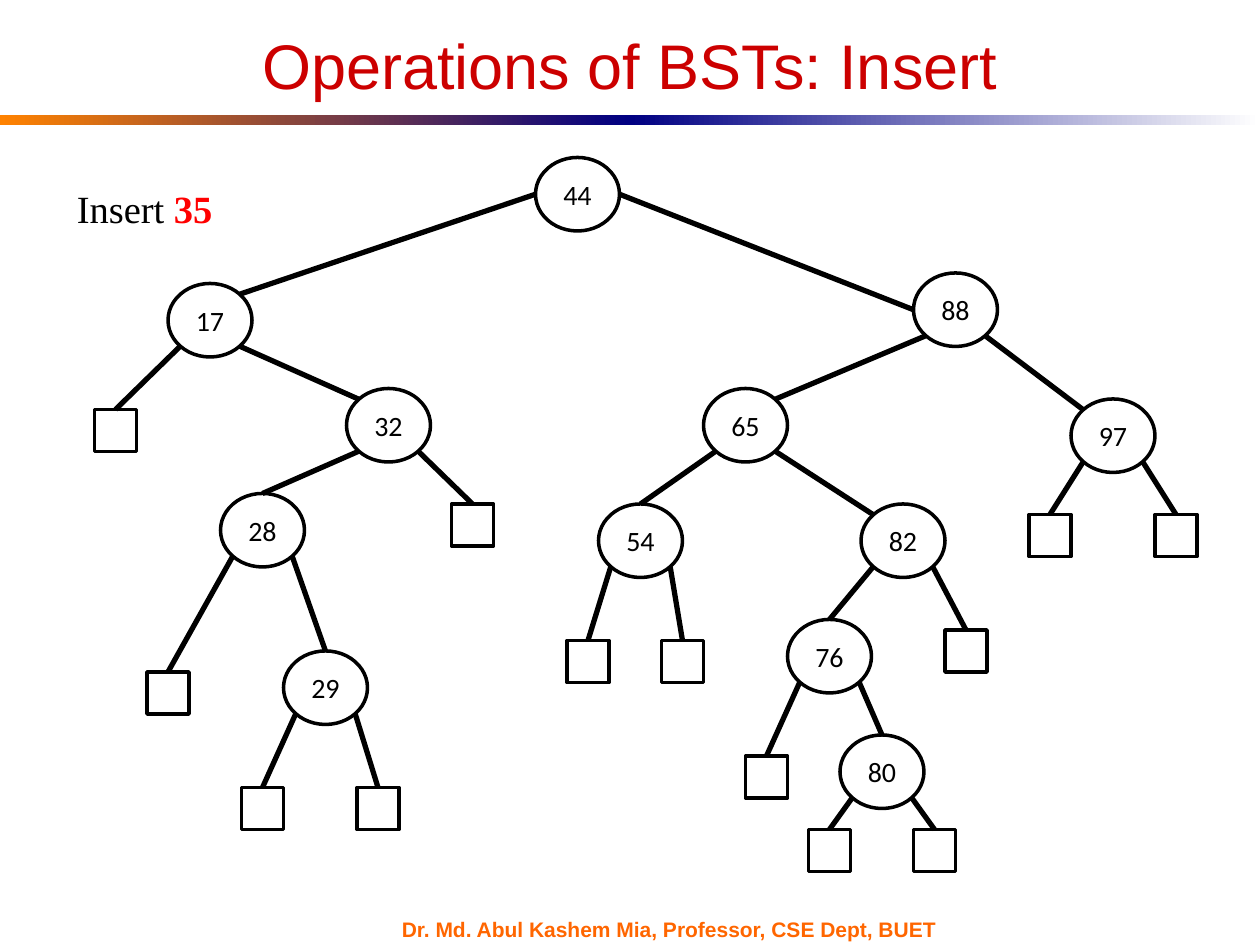
from pptx import Presentation
from pptx.dml.color import RGBColor
from pptx.enum import shapes, text
from pptx.oxml.ns import qn
from pptx.util import Cm, Pt

COLORS = {"black": "000000", "white": "FFFFFF", "title": "CC0000", "key": "FF0000",
          "orange": "FF8200", "navy": "000082", "footer": "FF6600"}
TITLE = "Operations of BSTs: Insert"
TASK = [("Insert ", "black", False), ("35", "key", True)]
FOOTER = [("Dr. Md. Abul Kashem Mia, Professor, CSE Dept, BUET", "footer", True)]
BARS = [("orange", "navy"), ("navy", "white")]

# Grid positions (column, row) of the top left corners
GRID = 2.54 / 12  # cm
NODE_SIZE, LEAF_SIZE = (8, 7), (4, 4)
NODES = {44: (51, 15), 17: (16, 27), 32: (33, 37), 28: (21, 47), 29: (27, 62),
         88: (87, 26), 65: (67, 37), 97: (102, 38), 54: (57, 48), 82: (82, 48),
         76: (75, 59), 80: (80, 70)}
# Parent, where the edge leaves it, child, where the edge meets it
EDGES = [(44, "left", 17, "top right"), (44, "right", 88, "left"),
         (17, "bottom right", 32, "top left"), (32, "bottom left", 28, "top"),
         (28, "bottom right", 29, "top"), (88, "bottom left", 65, "top right"),
         (88, "bottom right", 97, "top left"), (65, "bottom left", 54, "top"),
         (65, "bottom right", 82, "top left"), (82, "bottom left", 76, "top"),
         (76, "bottom right", 80, "top")]
# Parent, where the edge leaves it, position of the empty leaf
LEAVES = [(17, "bottom left", (9, 39)), (32, "bottom right", (43, 48)),
          (28, "bottom left", (14, 64)), (29, "bottom left", (23, 75)),
          (29, "bottom right", (34, 75)), (54, "bottom left", (54, 61)),
          (54, "bottom right", (63, 61)), (82, "bottom right", (90, 60)),
          (76, "bottom left", (71, 72)), (80, "bottom left", (77, 79)),
          (80, "bottom right", (87, 79)), (97, "bottom left", (98, 49)),
          (97, "bottom right", (110, 49))]
DIAGONAL = 0.5 ** 0.5
SITES = {"top": (0, -1), "left": (-1, 0), "right": (1, 0),
         "top left": (-DIAGONAL, -DIAGONAL), "top right": (DIAGONAL, -DIAGONAL),
         "bottom left": (-DIAGONAL, DIAGONAL), "bottom right": (DIAGONAL, DIAGONAL)}


def rgb(name):
    return RGBColor.from_string(COLORS[name])


def add_run(p, words, font, size, color, bold=False):
    r = p.add_run()
    r.text = words
    r.font.name, r.font.size, r.font.bold = font, Pt(size), bold
    r.font.color.rgb = rgb(color)


def add_text(s, box, runs, font, size, anchor):
    tf = s.shapes.add_textbox(*map(Cm, box)).text_frame
    tf.word_wrap = True
    tf.vertical_anchor = anchor
    for words, color, bold in runs:
        add_run(tf.paragraphs[0], words, font, size, color, bold)


def add_outlined(s, kind, position, size):
    sp = s.shapes.add_shape(kind, *(Cm(v * GRID) for v in position + size))
    sp.shadow.inherit = False
    sp.fill.solid()
    sp.fill.fore_color.rgb = rgb("white")
    sp.line.color.rgb = rgb("black")
    sp.line.width = Pt(2)
    return sp


def site_point(sp, site):
    """Point on the rim of a node in the given direction."""
    dx, dy = SITES[site]
    return (round(sp.left + sp.width * (1 + dx) / 2),
            round(sp.top + sp.height * (1 + dy) / 2))


def add_edge(s, parent, leave, child, meet):
    line = s.shapes.add_connector(shapes.MSO_CONNECTOR.STRAIGHT,
                                  *site_point(parent, leave), *site_point(child, meet))
    if meet == "top":
        line.end_connect(child, 0)
    line.line.color.rgb = rgb("black")
    line.line.width = Pt(3)
    sp_pr = line._element.spPr
    sp_pr.append(sp_pr.makeelement(qn("a:effectLst"), {}))


def add_bars(s):
    for i, ends in enumerate(BARS):
        bar = s.shapes.add_shape(shapes.MSO_SHAPE.RECTANGLE, Cm(12.7 * i), Cm(2.32),
                                 Cm(12.7), Cm(0.21))
        bar.shadow.inherit = False
        bar.line.fill.background()
        bar.fill.gradient()
        bar.fill.gradient_angle = 0
        for stop, position, color in zip(bar.fill.gradient_stops, (0, 1), ends):
            stop.position = position
            stop.color.rgb = rgb(color)


def add_tree(s):
    nodes = {}
    for key, position in NODES.items():
        sp = nodes[key] = add_outlined(s, shapes.MSO_SHAPE.OVAL, position, NODE_SIZE)
        tf = sp.text_frame
        tf.vertical_anchor = text.MSO_ANCHOR.MIDDLE
        p = tf.paragraphs[0]
        p.alignment = text.PP_ALIGN.CENTER
        add_run(p, str(key), "Calibri", 16, "black")
    for parent, leave, child, meet in EDGES:
        add_edge(s, nodes[parent], leave, nodes[child], meet)
    for parent, leave, position in LEAVES:
        leaf = add_outlined(s, shapes.MSO_SHAPE.RECTANGLE, position, LEAF_SIZE)
        add_edge(s, nodes[parent], leave, leaf, "top")


def add_title(s):
    title = s.shapes.title
    title.left, title.top, title.width, title.height = map(Cm, (1.27, 0.64, 22.86, 1.3))
    tf = title.text_frame
    tf.auto_size = text.MSO_AUTO_SIZE.NONE
    tf.vertical_anchor = text.MSO_ANCHOR.MIDDLE
    p = tf.paragraphs[0]
    p.alignment = text.PP_ALIGN.CENTER
    add_run(p, TITLE, "Arial", 36, "title")


def main():
    prs = Presentation()
    prs.slide_width, prs.slide_height = Cm(25.4), Cm(19.05)
    s = prs.slides.add_slide(prs.slide_layouts[5])
    add_title(s)
    add_bars(s)
    add_text(s, (7.85, 18.5, 11.86, 0.45), FOOTER, "Arial", 12, text.MSO_ANCHOR.MIDDLE)
    add_tree(s)
    add_text(s, (1.3, 3.6, 3.73, 1.2), TASK, "Times New Roman", 22, text.MSO_ANCHOR.TOP)
    prs.save("out.pptx")


if __name__ == "__main__":
    main()
